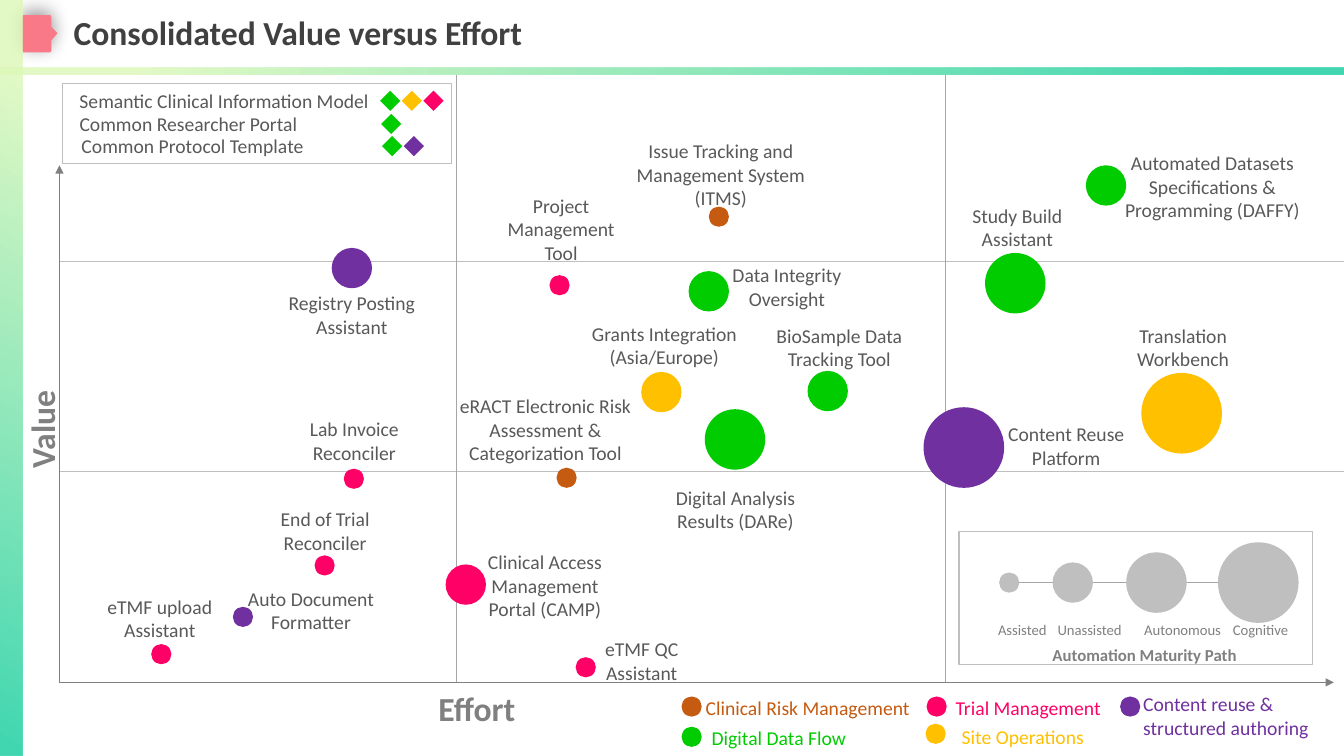
from dataclasses import dataclass

from lxml.etree import SubElement
from pptx import Presentation
from pptx.dml.color import RGBColor
from pptx.enum.shapes import MSO_CONNECTOR as Connector, MSO_SHAPE as Shape
from pptx.enum.text import MSO_ANCHOR as Anchor, MSO_AUTO_SIZE as AutoSize, PP_ALIGN as Align
from pptx.oxml.ns import qn
from pptx.util import Inches, Pt


@dataclass(frozen=True)
class Theme:
    font: str = "Calibri"
    heading: float = 24
    body: float = 14
    caption: float = 12
    small: float = 10.5
    title: str = "404040"
    text: str = "595959"
    axis: str = "808080"
    divider: str = "A6A6A6"
    border: str = "BFBFBF"
    tag: str = "F97989"
    band_start: str = "DDF9B8"
    band_end: str = "14CE9F"
    risk: str = "C55A11"
    trial: str = "FF0066"
    reuse: str = "7030A0"
    data: str = "00CC00"
    site: str = "FFC000"


THEME = Theme()
MARK = 0.2
LINE_HEIGHTS = {1: 0.34, 2: 0.57, 3: 0.81}

# label, label left, top, width, lines, bubble left, top, maturity level, domain
TOOLS = [
    ("Project Management Tool", 4.77, 1.87, 1.59, 3, 5.45, 2.73, 1, "trial"),
    ("End of Trial Reconciler", 2.47, 4.98, 1.51, 2, 3.12, 5.51, 1, "trial"),
    ("eTMF upload Assistant", 0.83, 5.85, 1.51, 2, 1.5, 6.39, 1, "trial"),
    ("eRACT Electronic Risk Assessment & Categorization Tool",
     4.45, 3.86, 1.92, 3, 5.52, 4.64, 1, "risk"),
    ("Issue Tracking and Management System (ITMS)", 6.12, 1.33, 2.06, 3, 7.03, 2.05, 1, "risk"),
    ("Translation Workbench", 11.03, 3.16, 1.41, 2, 11.32, 3.7, 4, "site"),
    ("Content Reuse Platform", 9.82, 4.14, 1.51, 2, 9.16, 4.04, 4, "reuse"),
    ("Auto Document Formatter", 2.33, 5.77, 1.51, 2, 2.31, 6.02, 1, "reuse"),
    ("Registry Posting Assistant", 2.66, 2.84, 1.66, 2, 3.29, 2.46, 2, "reuse"),
    ("Data Integrity Oversight", 7.05, 2.56, 1.51, 2, 6.83, 2.69, 2, "data"),
    ("BioSample Data Tracking Tool", 7.43, 3.16, 1.79, 2, 8.01, 3.68, 2, "data"),
    ("Study Build Assistant", 9.5, 1.97, 1.18, 2, 9.77, 2.51, 3, "data"),
    ("Automated Datasets Specifications & Programming (DAFFY)",
     10.97, 1.45, 2.11, 3, 10.77, 1.64, 2, "data"),
    ("Digital Analysis Results (DARe)", 6.38, 4.77, 1.83, 2, 6.99, 4.06, 3, "data"),
    ("Grants Integration (Asia/Europe)", 5.61, 3.14, 1.96, 2, 6.36, 3.69, 2, "site"),
    ("Lab Invoice Reconciler", 2.76, 4.09, 1.51, 2, 3.41, 4.65, 1, "trial"),
    ("eTMF QC Assistant", 5.61, 6.27, 1.51, 2, 5.71, 6.52, 1, "trial"),
    ("Clinical Access Management Portal (CAMP)", 4.65, 5.41, 1.51, 3, 4.42, 5.6, 2, "trial"),
]
# label, label left, top, width, lines, dot left, top, domain
LEGEND = [
    ("Clinical Risk Management", 6.9, 6.86, 2.34, 1, 6.76, 6.91, "risk"),
    ("Digital Data Flow", 6.96, 7.15, 1.87, 1, 6.76, 7.21, "data"),
    ("Trial Management", 9.38, 6.86, 1.95, 1, 9.19, 6.91, "trial"),
    ("Site Operations", 9.44, 7.14, 1.63, 1, 9.18, 7.18, "site"),
    ("Content reuse & structured authoring", 11.24, 6.82, 2.06, 2, 11.11, 6.91, "reuse"),
]
# label, label left, top, width, first diamond left, top, domains
FOUNDATIONS = [
    ("Semantic Clinical Information Model", 0.69, 0.83, 3.36, 3.77, 0.9, ("data", "site", "trial")),
    ("Common Researcher Portal", 0.69, 1.06, 2.82, 3.78, 1.13, ("data",)),
    ("Common Protocol Template", 0.71, 1.28, 2.8, 3.79, 1.35, ("data", "reuse")),
]
# label, label left, width, circle left
MATURITY = [
    ("Assisted", 9.8, 0.69, 9.91),
    ("Unassisted", 10.39, 0.85, 10.44),
    ("Autonomous", 11.25, 0.98, 11.17),
    ("Cognitive", 12.13, 0.76, 12.08),
]
TAG_OUTLINE = [(0.57, 0.33), (0.51, 0.4), (0.51, 0.5), (0.5, 0.52), (0.23, 0.52), (0.22, 0.5),
               (0.22, 0.17), (0.23, 0.15), (0.5, 0.15), (0.51, 0.17), (0.51, 0.27)]


def color(value):
    return RGBColor.from_string(value)


def apply(target, values):
    for name, value in values.items():
        setattr(target, name, value)


class SlideBuilder:
    def __init__(self, slide, theme):
        self.slide = slide
        self.theme = theme
        self.shapes = slide.shapes

    def start_group(self):
        self.shapes = self.slide.shapes.add_group_shape().shapes

    def end_group(self):
        self.shapes = self.slide.shapes

    def shape(self, kind, left, top, width, height, fill=None, line=None):
        shape = self.shapes.add_shape(kind, Inches(left), Inches(top), Inches(width), Inches(height))
        shape.shadow.inherit = False
        if fill:
            shape.fill.solid()
            shape.fill.fore_color.rgb = color(fill)
        else:
            shape.fill.background()
        if line:
            shape.line.color.rgb = color(line)
            shape.line.width = Pt(1)
        else:
            shape.line.fill.background()
        return shape

    def circle(self, left, top, level, fill):
        self.shape(Shape.OVAL, left, top, MARK * level, MARK * level, fill)

    def band(self, left, top, width, height, end, rotation=0):
        """Add a translucent gradient strip; end is the position of the last stop."""
        band = self.shape(Shape.RECTANGLE, left, top, width, height)
        band.rotation = rotation
        band.fill.gradient()
        band.fill.gradient_angle = 240
        stops = [(0.1, self.theme.band_start), (end, self.theme.band_end)]
        for stop, (position, value) in zip(band.fill.gradient_stops, stops):
            stop.position = position
            stop.color.rgb = color(value)
        for stop_color in band.element.spPr.iter(qn("a:srgbClr")):
            SubElement(stop_color, qn("a:alpha"), val="80000")

    def tag(self, outline):
        points = [(Inches(x), Inches(y)) for x, y in outline]
        builder = self.shapes.build_freeform(*points[0])
        builder.add_line_segments(points[1:], close=True)
        tag = builder.convert_to_shape()
        tag.fill.solid()
        tag.fill.fore_color.rgb = color(self.theme.tag)
        tag.line.fill.background()
        effects = SubElement(tag.element.spPr, qn("a:effectLst"))
        shadow = SubElement(effects, qn("a:outerShdw"), blurRad=str(Pt(13)), dist=str(Pt(3)),
                            dir="16200000", algn="ctr", rotWithShape="0")
        shadow_color = SubElement(shadow, qn("a:srgbClr"), val="000000")
        SubElement(shadow_color, qn("a:alpha"), val="40000")

    def line(self, start, end, value, width=0.5, arrow=False):
        points = [Inches(length) for length in (*start, *end)]
        connector = self.shapes.add_connector(Connector.STRAIGHT, *points)
        connector.line.color.rgb = color(value)
        connector.line.width = Pt(width)
        properties = connector.element.spPr
        if arrow:
            SubElement(properties.find(qn("a:ln")), qn("a:tailEnd"), type="triangle")
        SubElement(properties, qn("a:effectLst"))

    def text(self, content, left, top, width, height, value=None, size=None, bold=False,
             align=Align.LEFT, rotation=0, frame_format=None):
        box = self.shapes.add_textbox(Inches(left), Inches(top), Inches(width), Inches(height))
        box.rotation = rotation
        apply(box.text_frame, {"word_wrap": True, "auto_size": AutoSize.SHAPE_TO_FIT_TEXT,
                               **(frame_format or {})})
        paragraph = box.text_frame.paragraphs[0]
        paragraph.text = content
        paragraph.alignment = align
        apply(paragraph.font, {"name": self.theme.font, "size": Pt(size or self.theme.body),
                               "bold": bold})
        paragraph.font.color.rgb = color(value or self.theme.text)
        return paragraph


def add_frame(builder):
    builder.tag(TAG_OUTLINE)
    builder.band(0, 0, 0.22, 7.5, 0.98)
    builder.band(6.64, -5.97, 0.07, 13.35, 0.92, rotation=270)
    margins = {f"margin_{side}": 0 for side in ("left", "top", "right", "bottom")}
    title = builder.text("Consolidated Value versus Effort", 0.73, 0.16, 9.23, 0.37, THEME.title,
                         THEME.heading, bold=True,
                         frame_format={**margins, "auto_size": AutoSize.NONE,
                                       "vertical_anchor": Anchor.MIDDLE})
    title.line_spacing = 0.9


def add_axes(builder):
    for y in (2.59, 4.68):
        builder.line((0.59, y), (13.33, y), THEME.border)
    for x in (4.53, 9.38):
        builder.line((x, 0.74), (x, 6.77), THEME.divider)
    for end in ((0.59, 1.64), (13.23, 6.77)):
        builder.line((0.59, 6.77), end, THEME.axis, 1, arrow=True)
    for label, left, top, rotation in (("Value", -0.12, 3.96, 270), ("Effort", 4.25, 6.78, 0)):
        builder.text(label, left, top, 1.07, 0.5, THEME.axis, THEME.heading, True,
                     rotation=rotation)


def add_tools(builder):
    for label, left, top, width, lines, x, y, level, domain in TOOLS:
        builder.text(label, left, top, width, LINE_HEIGHTS[lines], align=Align.CENTER)
        builder.circle(x, y, level, getattr(THEME, domain))


def add_legends(builder):
    for label, left, top, width, lines, x, y, domain in LEGEND:
        value = getattr(THEME, domain)
        builder.circle(x, y, 1, value)
        builder.text(label, left, top, width, LINE_HEIGHTS[lines], value)
    for label, left, top, width, x, y, domains in FOUNDATIONS:
        builder.text(label, left, top, width, LINE_HEIGHTS[1])
        for index, domain in enumerate(domains):
            builder.shape(Shape.DIAMOND, x + 0.215 * index, y, MARK, MARK, getattr(THEME, domain))
    builder.shape(Shape.RECTANGLE, 0.62, 0.83, 3.86, 0.79, line=THEME.border)


def add_maturity_path(builder):
    center = 5.78
    no_wrap = {"word_wrap": False}
    builder.start_group()
    builder.line((9.94, center), (12.66, center), THEME.divider, arrow=True)
    for level, (label, left, width, x) in enumerate(MATURITY, start=1):
        builder.circle(x, center - MARK * level / 2, level, THEME.border)
        builder.text(label, left, 6.11, width, 0.34, THEME.axis, THEME.small, frame_format=no_wrap)
    builder.text("Automation Maturity Path", 10.34, 6.35, 2.05, 0.37, THEME.axis, THEME.caption,
                 True, frame_format=no_wrap)
    builder.end_group()
    builder.shape(Shape.RECTANGLE, 9.51, 5.27, 3.51, 1.32, line=THEME.border)


def main():
    presentation = Presentation()
    apply(presentation, {"slide_width": Inches(13.33), "slide_height": Inches(7.5)})
    builder = SlideBuilder(presentation.slides.add_slide(presentation.slide_layouts[6]), THEME)
    for add_part in (add_frame, add_axes, add_tools, add_legends, add_maturity_path):
        add_part(builder)
    presentation.save("out.pptx")


if __name__ == "__main__":
    main()
